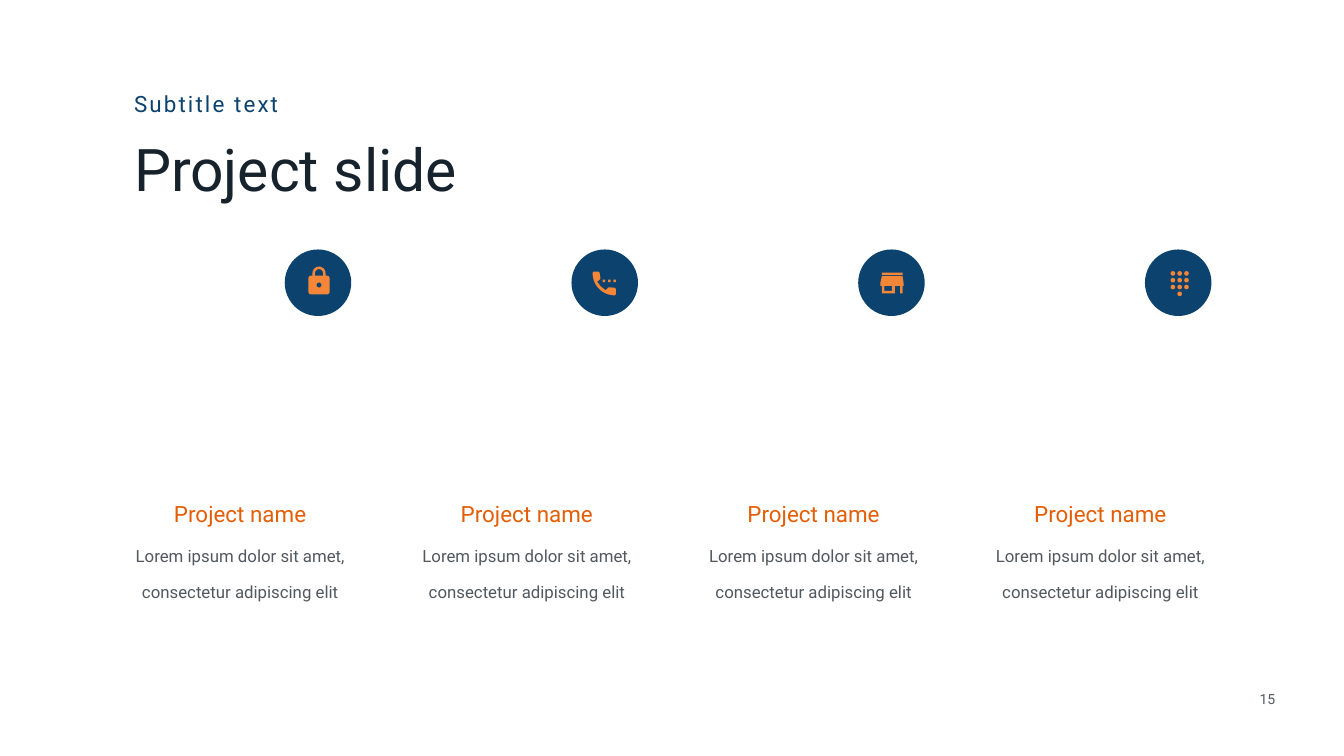
from math import cos, radians, sin

from pptx import Presentation
from pptx.dml.color import RGBColor
from pptx.enum.shapes import MSO_SHAPE
from pptx.enum.text import MSO_ANCHOR, MSO_AUTO_SIZE, PP_ALIGN
from pptx.util import Inches, Pt

NAVY, ORANGE, RUST, INK, GREY = "0B426E", "F58637", "E45E06", "16222C", "51585F"

# Four equal columns; everything inside one is offset from its left edge.
COLUMN_LEFT, COLUMN_STEP, COLUMN_WIDTH = 2.55, 5.69, 4.43
BADGE_OFFSET, BADGE_TOP, BADGE_SIZE = 3.1, 4.95, 1.32
NAME_WIDTH = 3.82
NAME_OFFSET = (COLUMN_WIDTH - NAME_WIDTH) / 2
TITLE_LEFT = 2.62

# Icon outlines in hundredths of an inch from the badge's top left corner.
# A pair is a point; five numbers are an arc: centre x, y, radius, start, end.
LOCK = [
    [(81, 52), (68, 47, 13, 0, -180), (55, 52), (52, 57, 5, -90, -180),
     (52, 84, 5, 180, 90), (84, 84, 5, 90, 0), (84, 57, 5, 0, -90)],
    [(68, 70.5, 5, 0, 360)],
    [(76, 52), (68, 47, 8, 0, -180), (60, 52)],
]
PHONE = [[(x, 60), (x + 5, 60), (x + 5, 65), (x, 65)] for x in (62, 73, 83)]
PHONE.append([
    (86, 76), (76, 75), (74, 75), (68, 81), (58.5, 73.5), (51, 64), (57, 59),
    (57.5, 56), (56, 47), (55, 44.5), (53, 44), (44, 44), (42.5, 45),
    (86, 47, 44, 180, 90), (87.5, 90), (88, 88), (88, 79), (87.5, 77),
])
STORE = [
    [(47, 46), (88, 46), (88, 51), (47, 51)],
    [(90, 72), (90, 66), (88, 53), (47, 53), (44, 66), (44, 72), (47, 72),
     (47, 87), (73, 87), (73, 72), (83, 72), (83, 87), (88, 87), (88, 72)],
    [(52, 72), (67, 72), (67, 82), (52, 82)],
]
KEYPAD = [[(x, y, 4.5, 0, 360)] for y in (47.5, 61, 74.5) for x in (55.5, 69, 82.5)]
KEYPAD.append([(69, 88, 4.5, 0, 360)])


def add_text(shapes, text, left, top, width, height, size, color, align=PP_ALIGN.LEFT,
             anchor=MSO_ANCHOR.TOP, inset=0.04, line_spacing=None, tracking=None, grow=False):
    box = shapes.add_textbox(Inches(left), Inches(top), Inches(width), Inches(height))
    frame = box.text_frame
    frame.word_wrap = True
    frame.auto_size = MSO_AUTO_SIZE.SHAPE_TO_FIT_TEXT if grow else MSO_AUTO_SIZE.NONE
    frame.vertical_anchor = anchor
    if inset is not None:
        frame.margin_left = frame.margin_right = Inches(inset)
        frame.margin_top = frame.margin_bottom = Inches(inset)
    paragraph = frame.paragraphs[0]
    paragraph.alignment = align
    paragraph.line_spacing = line_spacing
    run = paragraph.add_run()
    run.text = text
    run.font.name = "Roboto"
    run.font.size = Pt(size)
    run.font.color.rgb = RGBColor.from_string(color)
    if tracking:
        run._r.get_or_add_rPr().set("spc", str(tracking * 100))


def add_icon(shapes, outlines, left, top):
    """Draw the outlines as one freeform; an inner outline cuts a hole."""
    builder = None
    for outline in outlines:
        points = []
        for piece in outline:
            if len(piece) == 2:
                points.append(piece)
                continue
            x, y, radius, start, end = piece
            for step in range(17):
                angle = radians(start + (end - start) * step / 16)
                points.append((x + radius * cos(angle), y + radius * sin(angle)))
        points = [(Inches(x / 100), Inches(y / 100)) for x, y in points]
        if builder is None:
            builder = shapes.build_freeform(*points[0])
        else:
            builder.move_to(*points[0])
        builder.add_line_segments(points[1:], close=True)
    shape = builder.convert_to_shape(Inches(left), Inches(top))
    shape.shadow.inherit = False
    shape.fill.solid()
    shape.fill.fore_color.rgb = RGBColor.from_string(ORANGE)
    shape.line.fill.background()


presentation = Presentation()
presentation.slide_width = Inches(26.67)
presentation.slide_height = Inches(15)
slide = presentation.slides.add_slide(presentation.slide_layouts[6])

add_text(slide.shapes, "15", 24.66, 13.66, 0.98, 0.42, 20, GREY,
         align=PP_ALIGN.CENTER, grow=True)
add_text(slide.shapes, "Project slide", TITLE_LEFT, 2.59, 8.58, 1.73, 84, INK)
add_text(slide.shapes, "Subtitle text", TITLE_LEFT, 1.75, 6.12, 0.62, 32, NAVY,
         anchor=MSO_ANCHOR.MIDDLE, tracking=3, grow=True)

for column, icon in enumerate((LOCK, PHONE, STORE, KEYPAD)):
    left = COLUMN_LEFT + column * COLUMN_STEP

    caption = slide.shapes.add_group_shape()
    add_text(caption.shapes, "Lorem ipsum dolor sit amet, consectetur adipiscing elit",
             left, 10.46, COLUMN_WIDTH, 1.55, 24, GREY, align=PP_ALIGN.CENTER,
             inset=None, line_spacing=1.8, grow=True)
    add_text(caption.shapes, "Project name", left + NAME_OFFSET, 9.89, NAME_WIDTH, 0.87,
             32, RUST, align=PP_ALIGN.CENTER)

    badge = slide.shapes.add_group_shape()
    badge_left = left + BADGE_OFFSET
    circle = badge.shapes.add_shape(MSO_SHAPE.OVAL, Inches(badge_left), Inches(BADGE_TOP),
                                    Inches(BADGE_SIZE), Inches(BADGE_SIZE))
    circle.shadow.inherit = False
    circle.fill.solid()
    circle.fill.fore_color.rgb = RGBColor.from_string(NAVY)
    circle.line.fill.background()
    add_icon(badge.shapes, icon, badge_left, BADGE_TOP)

presentation.save("out.pptx")
